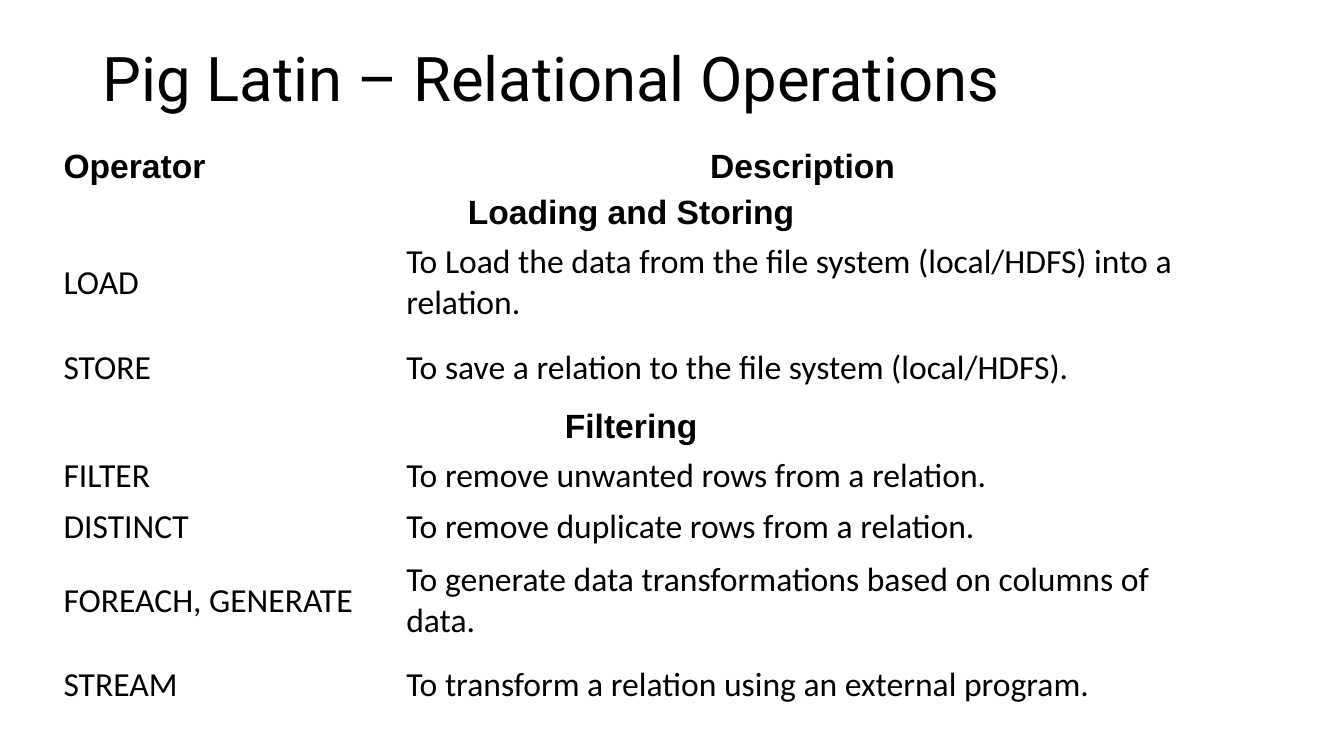
from pptx import Presentation, util as u
from pptx.dml import color
from pptx.enum import text

COLORS = {"ink": "000000", "paper": "FFFFFF"}
HEADING = {"name": "Arial", "size": u.Pt(24), "bold": True}
BODY = {"name": "Calibri", "size": u.Pt(24), "bold": False}
TITLE = {"name": "Roboto", "size": u.Pt(44), "bold": False}

COLUMN_WIDTHS = (3.4, 7.94)
HEADING_HEIGHT = 0.3
CELL_MARGIN = u.Inches(0.04)

# Sections of operators: name, then (operator, description, row height)
SECTIONS = {
    "Loading and Storing": [
        ("LOAD", "To Load the data from the file system (local/HDFS) into a relation.", 0.95),
        ("STORE", "To save a relation to the file system (local/HDFS).", 0.73),
    ],
    "Filtering": [
        ("FILTER", "To remove unwanted rows from a relation.", 0.51),
        ("DISTINCT", "To remove duplicate rows from a relation.", 0.51),
        ("FOREACH, GENERATE", "To generate data transformations based on columns of data.", 0.95),
        ("STREAM", "To transform a relation using an external program.", 0.73),
    ],
}


def set_attributes(target, values):
    for name, value in values.items():
        setattr(target, name, value)


def write(frame, wording, font, alignment=text.PP_ALIGN.LEFT):
    paragraph = frame.paragraphs[0]
    paragraph.alignment = alignment
    run = paragraph.add_run()
    run.text = wording
    set_attributes(run.font, font)
    run.font.color.rgb = color.RGBColor.from_string(COLORS["ink"])
    return paragraph


def place_title(slide, left, top, width, height):
    title = slide.shapes.title
    set_attributes(title, {"left": u.Inches(left), "top": u.Inches(top),
                           "width": u.Inches(width), "height": u.Inches(height)})
    set_attributes(title.text_frame, {"vertical_anchor": text.MSO_ANCHOR.TOP,
                                      "margin_top": u.Inches(0.08), "word_wrap": True})
    write(title.text_frame, "Pig Latin – Relational Operations", TITLE).line_spacing = 0.9


def fill_cell(cell, wording, font, alignment=text.PP_ALIGN.LEFT):
    set_attributes(cell, {"margin_left": CELL_MARGIN, "margin_right": CELL_MARGIN,
                          "margin_top": CELL_MARGIN, "margin_bottom": CELL_MARGIN,
                          "vertical_anchor": text.MSO_ANCHOR.MIDDLE})
    cell.fill.solid()
    cell.fill.fore_color.rgb = color.RGBColor.from_string(COLORS["paper"])
    write(cell.text_frame, wording, font, alignment)


def place_operator_table(slide, left, top, width, height):
    # Flatten the sections; a section heading has no description
    rows = [("Operator", "Description", HEADING_HEIGHT)]
    for section, operators in SECTIONS.items():
        rows += [(section, None, HEADING_HEIGHT), *operators]

    table = slide.shapes.add_table(len(rows), 2, u.Inches(left), u.Inches(top),
                                   u.Inches(width), u.Inches(height)).table
    set_attributes(table, {"first_row": False, "horz_banding": False})
    for column, column_width in zip(table.columns, COLUMN_WIDTHS):
        column.width = u.Inches(column_width)

    center = text.PP_ALIGN.CENTER
    for index, (operator, description, row_height) in enumerate(rows):
        table.rows[index].height = u.Inches(row_height)
        first, second = table.cell(index, 0), table.cell(index, 1)
        if description is None:
            first.merge(second)
            fill_cell(first, operator, HEADING, center)
        elif index == 0:
            fill_cell(first, operator, HEADING)
            fill_cell(second, description, HEADING, center)
        else:
            fill_cell(first, operator, BODY)
            fill_cell(second, description, BODY)


def main():
    presentation = Presentation()
    presentation.slide_width = u.Inches(13.33)
    presentation.slide_height = u.Inches(7.5)
    slide = presentation.slides.add_slide(presentation.slide_layouts.get_by_name("Title Only"))
    place_title(slide, 0.92, 0.4, 11.5, 1.45)
    place_operator_table(slide, 0.59, 1.43, sum(COLUMN_WIDTHS), 5.8)
    presentation.save("out.pptx")


if __name__ == "__main__":
    main()
